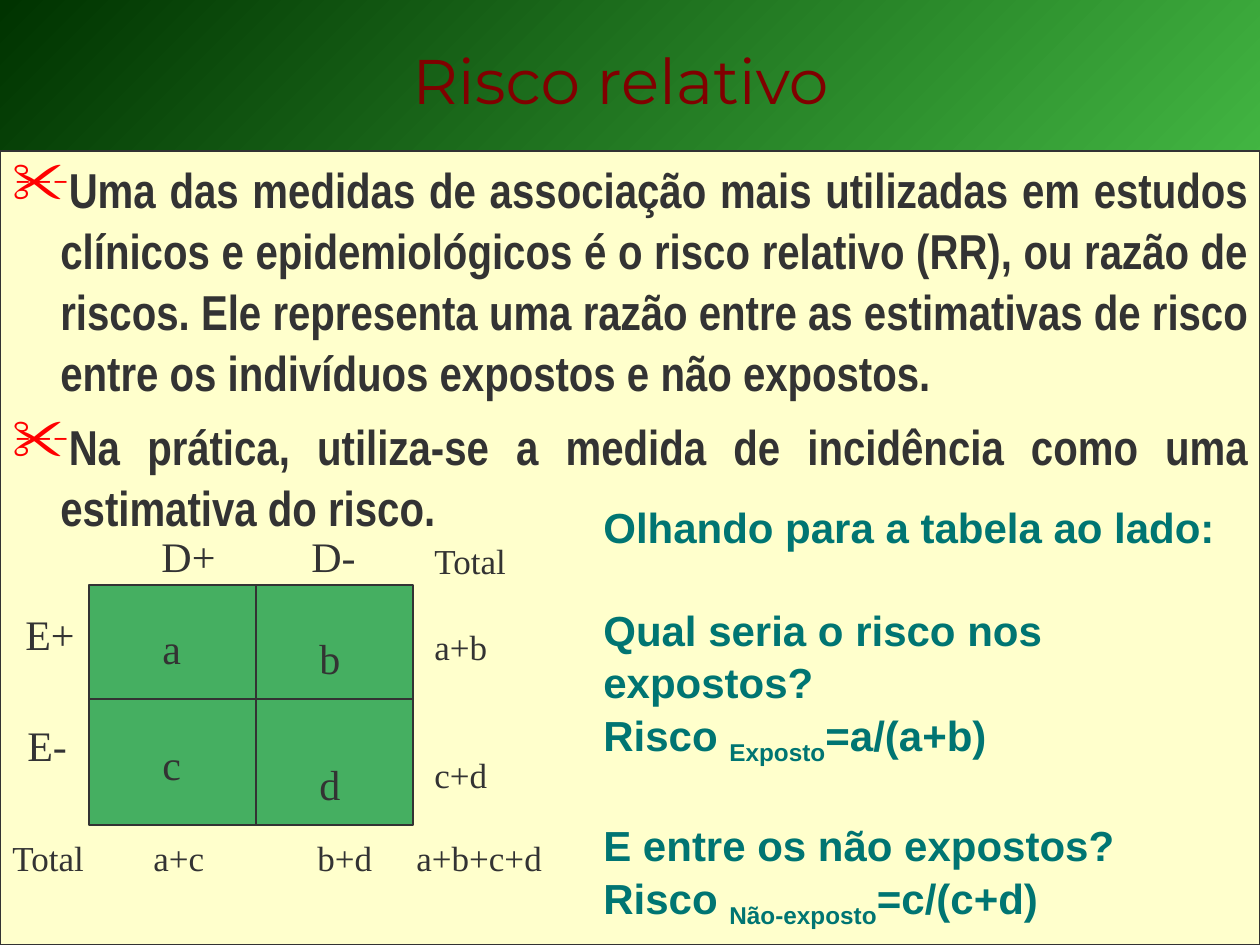
import pptx
import pptx.util
import pptx.dml.color
import pptx.enum.shapes
import pptx.enum.text
import pptx.oxml
import pptx.oxml.ns

SCALE = 914400 / 126  # EMU in one px
ALIGN = pptx.enum.text.PP_ALIGN


def px(n):
    return pptx.util.Emu(round(n * SCALE))


def tint(code):
    return pptx.dml.color.RGBColor.from_string(code)


def add_xml(node, tag, **attrs):
    item = pptx.oxml.parse_xml(f"<a:{tag} {pptx.oxml.ns.nsdecls('a')}/>")
    for key, val in attrs.items():
        item.set(key, str(val))
    node.append(item)
    return item


def write(frame, lines, size=24, font="Times New Roman", color="333333",
          bold=False, align=ALIGN.LEFT, wrap=False, gaps=(), space=1.04,
          mark=None, stops=()):
    """Each line is a string or a list of strings; odd items are subscripts."""
    frame.word_wrap = wrap
    frame.auto_size = pptx.enum.text.MSO_AUTO_SIZE.NONE
    frame.vertical_anchor = pptx.enum.text.MSO_ANCHOR.TOP
    frame.margin_left = frame.margin_right = pptx.util.Inches(0.1)
    frame.margin_top = frame.margin_bottom = pptx.util.Inches(0.05)
    for i, line in enumerate(lines):
        para = frame.paragraphs[0] if i == 0 else frame.add_paragraph()
        props = para._p.get_or_add_pPr()
        if mark:
            props.set("marL", str(px(48)))
            props.set("indent", str(-px(48)))
            add_xml(add_xml(props, "buClr"), "srgbClr", val="FF0000")
            add_xml(props, "buSzPct", val=120000)
            add_xml(props, "buChar", char=mark)
        if stops:
            tabs = add_xml(props, "tabLst")
            for stop in stops:
                add_xml(tabs, "tab", pos=px(stop), algn="l")
        para.alignment = align
        para.line_spacing = space
        if i in gaps:
            para.space_before = pptx.util.Pt(gaps[i])
        for j, part in enumerate([line] if isinstance(line, str) else line):
            run = para.add_run()
            run.text = part
            run.font.size = pptx.util.Pt(size)
            run.font.name = font
            run.font.bold = bold
            run.font.color.rgb = tint(color)
            if j % 2:
                run._r.get_or_add_rPr().set("baseline", "-25000")


class Deck:
    ink = "333333"

    def __init__(self):
        self.file = pptx.Presentation()
        self.file.slide_width = px(1260)
        self.file.slide_height = px(945)
        self.slide = self.file.slides.add_slide(self.file.slide_layouts[5])

    def back(self, start, end):
        fill = self.slide.background.fill
        fill.gradient()
        fill.gradient_angle = 315
        for stop, code in zip(fill.gradient_stops, (start, end)):
            stop.color.rgb = tint(code)

    def title(self, text, x, y, w, h, **style):
        shape = self.slide.shapes.title
        shape.left, shape.top, shape.width, shape.height = map(px, (x, y, w, h))
        write(shape.text_frame, [text], **style)

    def box(self, x, y, w, h, fill):
        kind = pptx.enum.shapes.MSO_SHAPE.RECTANGLE
        shape = self.slide.shapes.add_shape(kind, *map(px, (x, y, w, h)))
        shape.shadow.inherit = False
        shape.fill.solid()
        shape.fill.fore_color.rgb = tint(fill)
        shape.line.color.rgb = tint(self.ink)
        shape.line.width = pptx.util.Pt(1)
        return shape

    def line(self, x1, y1, x2, y2):
        kind = pptx.enum.shapes.MSO_CONNECTOR.STRAIGHT
        rule = self.slide.shapes.add_connector(kind, *map(px, (x1, y1, x2, y2)))
        rule.line.color.rgb = tint(self.ink)
        rule.line.width = pptx.util.Pt(1)
        add_xml(rule._element.spPr, "effectLst")

    def text(self, lines, x, y, w, h, **style):
        shape = self.slide.shapes.add_textbox(*map(px, (x, y, w, h)))
        write(shape.text_frame, lines, **style)


def main():
    deck = Deck()
    deck.back("003300", "66FF66")

    # Main text panel
    panel = deck.box(0, 151, 1260, 794, "FFFFCC")
    write(panel.text_frame, [
        "Uma das medidas de associação mais utilizadas em estudos clínicos e "
        "epidemiológicos é o risco relativo (RR), ou razão de riscos. Ele "
        "representa uma razão entre as estimativas de risco entre os "
        "indivíduos expostos e não expostos.",
        "Na prática, utiliza-se a medida de incidência como uma estimativa "
        "do risco.",
    ], size=28, font="Arial Narrow", bold=True, align=ALIGN.JUSTIFY,
        wrap=True, gaps={1: 7}, mark="✂")

    # Two by two grid
    deck.box(89, 585, 324, 240, "45AF61")
    deck.line(90, 699, 412, 699)
    deck.line(256, 586, 256, 824)

    # Cell letters and headings
    labels = [
        ("a", 150, 614, 44), ("b", 307, 624, 45),
        ("c", 150, 730, 44), ("d", 307, 750, 45),
        ("D+", 149, 522, 79), ("D-", 299, 522, 69),
        ("E+", 13, 600, 74), ("E-", 15, 711, 64),
    ]
    for name, x, y, w in labels:
        deck.text([name], x, y, w, 63)

    # Totals
    deck.text(["Total\ta+c\tb+d\ta+b+c+d"], 0, 829, 570, 55, size=20,
              wrap=True, stops=(141, 305, 404))
    deck.text(["Total", "a+b", "c+d"], 422, 532, 100, 307, size=20,
              gaps={1: 24, 2: 48})

    # Title
    deck.title("Risco relativo", 362, 35, 517, 68, size=36, font="Montserrat",
               color="800000", align=ALIGN.CENTER, space=1.0)

    # Questions about the grid
    deck.text([
        "Olhando para a tabela ao lado:",
        "Qual seria o risco nos expostos?",
        ["Risco ", "Exposto", "=a/(a+b)"],
        "E entre os não expostos?",
        ["Risco ", "Não-exposto", "=c/(c+d)"],
    ], 591, 493, 669, 452, font="Arial", color="007572", bold=True,
        wrap=True, gaps={1: 29, 3: 29})

    deck.file.save("out.pptx")


if __name__ == "__main__":
    main()
